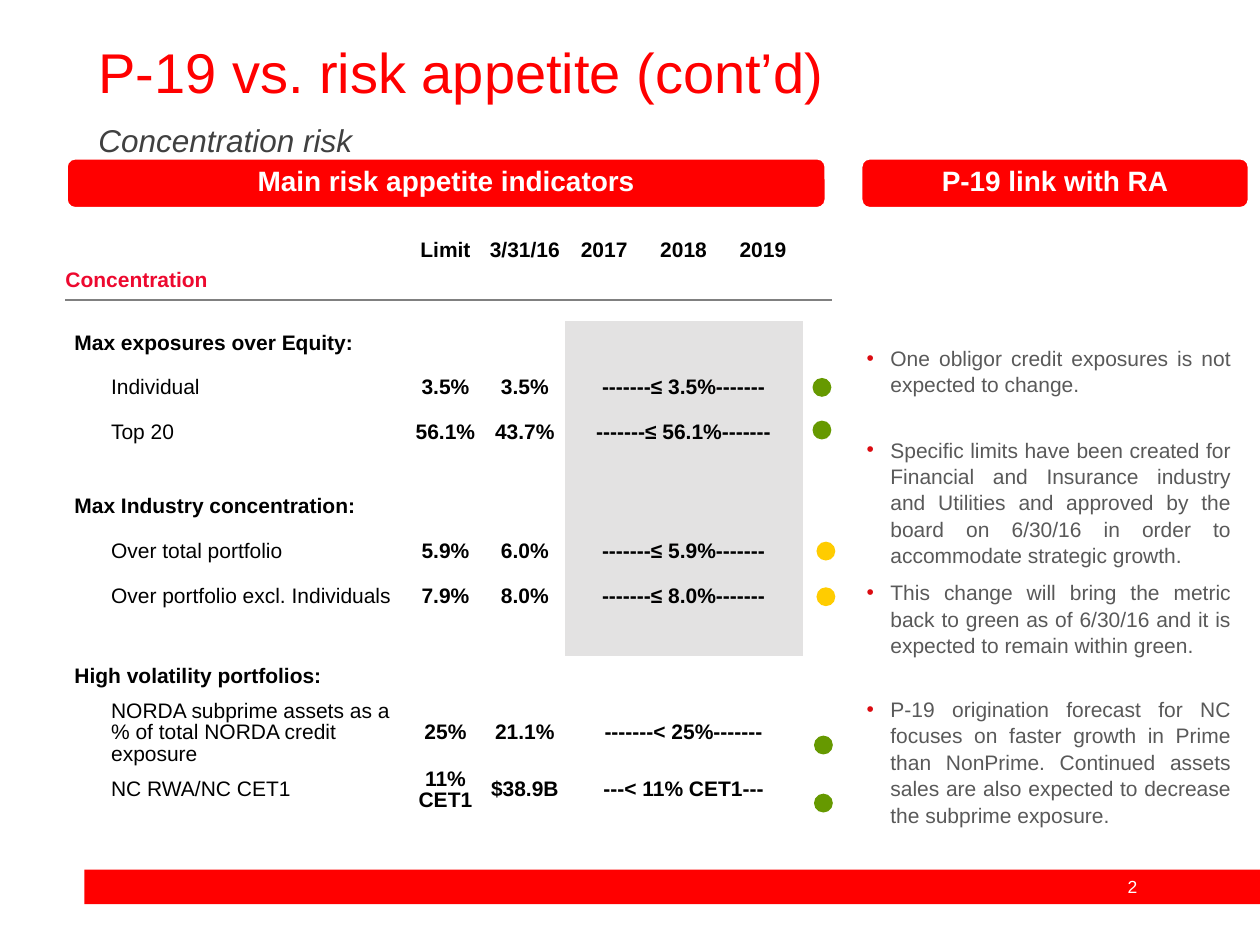
from dataclasses import dataclass
from lxml.etree import SubElement
from pptx import Presentation
from pptx.dml.color import RGBColor as RGB
from pptx.enum.shapes import MSO_SHAPE as Shape
from pptx.enum.text import MSO_ANCHOR as Anchor, MSO_AUTO_SIZE as AutoSize, PP_ALIGN as Align
from pptx.oxml.ns import qn
from pptx.util import Cm, Pt


@dataclass(frozen=True)
class Theme:
    font: str = "Arial"
    red: str = "FF0000"
    white: str = "FFFFFF"
    black: str = "000000"
    subtitle: str = "404040"
    body: str = "595959"
    bullet: str = "DB0B11"
    section: str = "ED092F"
    rule: str = "808080"
    band: str = "E3E2E2"
    green: str = "669900"
    amber: str = "FFCC00"
    title_size: int = 32
    subtitle_size: int = 18
    header_size: int = 16
    text_size: int = 12
    number_size: int = 10
    gap_size: int = 4


theme = Theme()


def style(para, size, color, bold=False, italic=False, align=Align.LEFT, spacing=0.9, before=0):
    para.alignment = align
    para.line_spacing = spacing
    para.space_before = Pt(before)
    font = para.font
    font.name, font.size, font.bold, font.italic = theme.font, Pt(size), bold, italic
    font.color.rgb = RGB.from_string(color)


def add_filled(kind, left, top, width, height, color):
    shape = page.shapes.add_shape(kind, Cm(left), Cm(top), Cm(width), Cm(height))
    shape.shadow.inherit = False
    shape.fill.solid()
    shape.fill.fore_color.rgb = RGB.from_string(color)
    shape.line.fill.background()
    return shape


deck = Presentation()
deck.slide_width, deck.slide_height = Cm(25.4), Cm(19.05)
page = deck.slides.add_slide(deck.slide_layouts.get_by_name("Comparison"))
title, subtitle, *notes = page.placeholders

add_filled(Shape.RECTANGLE, 1.7, 17.53, 23.7, 0.7, theme.red)
number = page.shapes.add_textbox(Cm(22.12), Cm(17.53), Cm(1.42), Cm(0.69)).text_frame
number.word_wrap = True
number.vertical_anchor = Anchor.MIDDLE
number.text = "2"
style(number.paragraphs[0], theme.number_size, theme.white, align=Align.CENTER, spacing=1.0)

headings = [
    (title, 0.79, 1.45, "P-19 vs. risk appetite (cont’d)", theme.title_size, theme.red, False),
    (subtitle, 2.39, 1.04, "Concentration risk", theme.subtitle_size, theme.subtitle, True),
]
for box, top, height, text, size, color, italic in headings:
    box.left, box.top, box.width, box.height = Cm(1.73), Cm(top), Cm(21.9), Cm(height)
    frame = box.text_frame
    frame.auto_size = AutoSize.NONE
    frame.vertical_anchor = Anchor.TOP
    frame.text = text
    style(frame.paragraphs[0], size, color, italic=italic)

for left, width, text in [
    (1.35, 15.29, "Main risk appetite indicators"),
    (17.37, 7.8, "P-19 link with RA"),
]:
    header = add_filled(Shape.ROUNDED_RECTANGLE, left, 3.2, width, 0.99, theme.red)
    header.line.color.rgb = RGB.from_string(theme.white)
    header.line.width = Pt(1)
    header.text_frame.vertical_anchor = Anchor.MIDDLE
    header.text_frame.text = text
    style(header.text_frame.paragraphs[0], theme.header_size, theme.white, bold=True,
          align=Align.CENTER, spacing=Pt(16))

column_widths = [0.18, 6.5, 0.18] + [1.6] * 5 + [0.6]
row_heights = [0.46, 0.76, 0.43] + [0.9] * 3 + [0.6] + [0.9] * 3 + [0.74, 0.88, 1.31, 0.92]
column_names = ["Limit", "3/31/16", "2017", "2018", "2019"]
groups = {
    3: "Max exposures over Equity:",
    7: "Max Industry concentration:",
    11: "High volatility portfolios:",
}
metrics = {
    4: ("Individual", "3.5%", "3.5%", "-------≤ 3.5%-------"),
    5: ("Top 20", "56.1%", "43.7%", "-------≤ 56.1%-------"),
    8: ("Over total portfolio", "5.9%", "6.0%", "-------≤ 5.9%-------"),
    9: ("Over portfolio excl. Individuals", "7.9%", "8.0%", "-------≤ 8.0%-------"),
    12: ("NORDA subprime assets as a % of total NORDA credit exposure", "25%", "21.1%",
         "-------< 25%-------"),
    13: ("NC RWA/NC CET1", "11% CET1", "$38.9B", "---< 11% CET1---"),
}
texts = {(0, column): name for column, name in enumerate(column_names, 3)}
texts[1, 0] = "Concentration"
texts.update({(row, 1): name for row, name in groups.items()})
for row, values in metrics.items():
    texts.update({(row, column): value for column, value in zip((1, 3, 4, 5), values)})

table = page.shapes.add_table(
    len(row_heights), len(column_widths), Cm(1.32), Cm(4.83),
    Cm(sum(column_widths)), Cm(sum(row_heights))).table
table.first_row = table.horz_banding = False
table._tbl.tblPr.find(qn("a:tableStyleId")).text = "{2D5ABB26-0587-4C30-8999-92F81FD0307C}"
for column, width in zip(table.columns, column_widths):
    column.width = Cm(width)
for row, height in zip(table.rows, row_heights):
    row.height = Cm(height)
for row in (1, 2):
    table.cell(row, 0).merge(table.cell(row, 1))
for row in metrics:
    table.cell(row, 5).merge(table.cell(row, 7))

for row in range(len(row_heights)):
    for column in range(len(column_widths)):
        cell = table.cell(row, column)
        cell.margin_left = cell.margin_right = cell.margin_top = cell.margin_bottom = 0
        cell.vertical_anchor = Anchor.MIDDLE
        para = cell.text_frame.paragraphs[0]
        if (row, column) in texts:
            is_label = row in metrics and column == 1
            para.text = texts[row, column]
            if is_label:
                para._p.get_or_add_pPr().set("marL", str(Cm(0.74)))
            style(para, theme.text_size, theme.section if row == 1 else theme.black,
                  bold=not is_label, align=Align.CENTER if column > 2 else Align.LEFT)
        else:
            SubElement(para._p, qn("a:endParaRPr"), sz=str(theme.gap_size * 100))
        if row == 1:
            border = SubElement(cell._tc.get_or_add_tcPr(), qn("a:lnB"), w=str(Pt(1.5)))
            SubElement(SubElement(border, qn("a:solidFill")), qn("a:srgbClr"), val=theme.rule)
        if 3 <= row <= 10 and 5 <= column <= 7:
            cell.fill.solid()
            cell.fill.fore_color.rgb = RGB.from_string(theme.band)

for left, top, color in [
    (16.38, 7.62, theme.green), (16.38, 8.48, theme.green),
    (16.46, 10.92, theme.amber), (16.46, 11.84, theme.amber),
    (16.41, 14.83, theme.green), (16.41, 16, theme.green),
]:
    add_filled(Shape.OVAL, left, top, 0.38, 0.38, color)

comments = [
    (6.81, 2.11, ["One obligor credit exposures is not expected to change."]),
    (8.66, 5.1, [
        "Specific limits have been created for Financial and Insurance industry and Utilities "
        "and approved by the board on 6/30/16 in order to accommodate strategic growth.",
        "This change will bring the metric back to green as of 6/30/16 and it is expected to "
        "remain within green."]),
    (13.89, 2.9, [
        "P-19 origination forecast for NC focuses on faster growth in Prime than NonPrime. "
        "Continued assets sales are also expected to decrease the subprime exposure."]),
]
for box, (top, height, lines) in zip(notes, comments):
    box.left, box.top, box.width, box.height = Cm(17.37), Cm(top), Cm(7.7), Cm(height)
    frame = box.text_frame
    frame.auto_size = AutoSize.NONE
    frame.vertical_anchor = Anchor.TOP
    frame.margin_left, frame.margin_right = Cm(0.1), Cm(0.25)
    frame.text = "\n".join(lines)
    for index, para in enumerate(frame.paragraphs):
        props = para._p.get_or_add_pPr()
        props.set("marL", str(Cm(0.48)))
        props.set("indent", str(Cm(-0.48)))
        SubElement(SubElement(props, qn("a:buClr")), qn("a:srgbClr"), val=theme.bullet)
        SubElement(props, qn("a:buChar"), char="•")
        style(para, theme.text_size, theme.body, align=Align.JUSTIFY, spacing=1.05,
              before=6 if index else 0)

deck.save("out.pptx")
